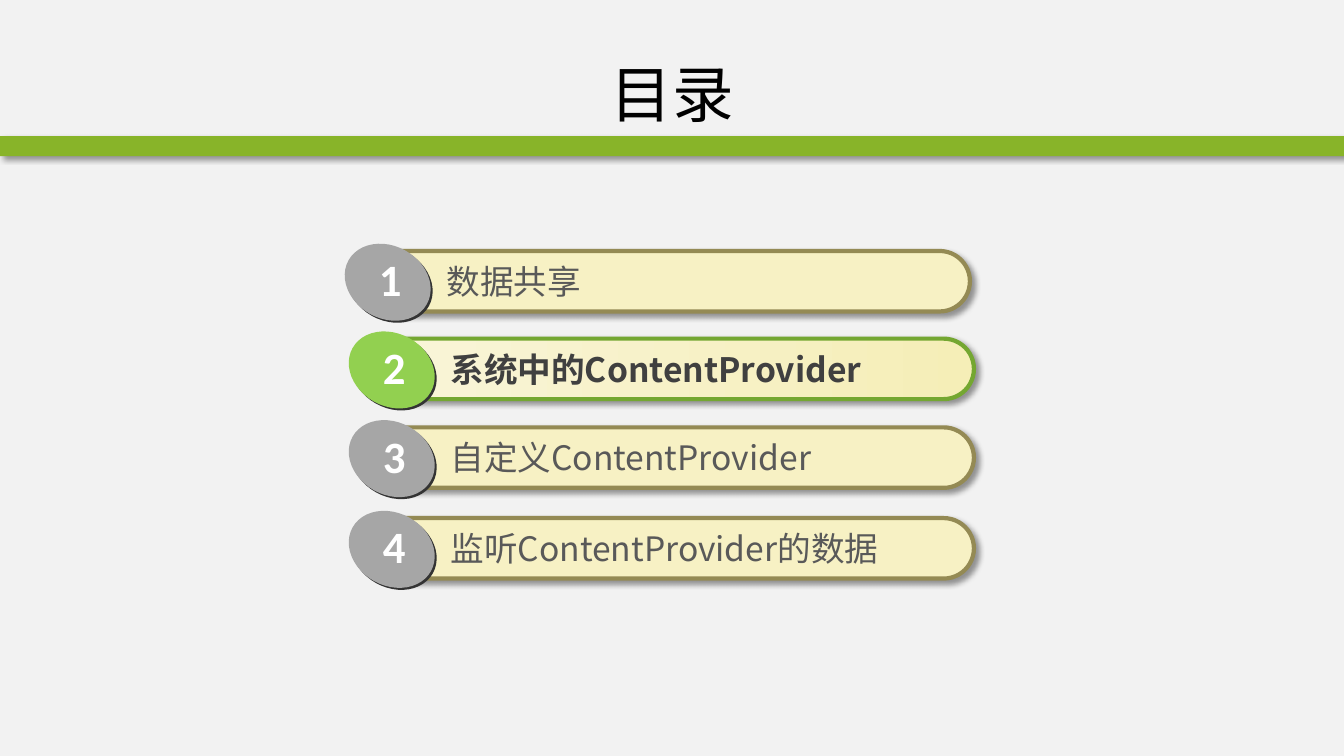
import pptx
import pptx.dml.color
import pptx.enum.shapes
import pptx.enum.text
import pptx.oxml
import pptx.oxml.ns
import pptx.util
from pptx.util import Inches

TITLE = "目录"
CJK_FONT = "Noto Sans CJK SC"
NUMBER_FONT = "Calibri"
CHAPTERS = [
    ("数据共享", 3.62, 2.49),
    ("系统中的ContentProvider", 3.66, 3.36),
    ("自定义ContentProvider", 3.66, 4.24),
    ("监听ContentProvider的数据", 3.66, 5.14),
]
CURRENT = 2
NORMAL_STYLE = {"fill": ["F7F1C4"], "line": "948A54", "disc": "A6A6A6", "text": "595959"}
CURRENT_STYLE = {"fill": ["F9F5D9", "F5EEB7"], "line": "74A731", "disc": "92D050", "text": "404040"}
SHAPES = pptx.enum.shapes.MSO_SHAPE


def color(value):
    return pptx.dml.color.RGBColor.from_string(value)


def add_solid(parent, kind, place, fills):
    shape = parent.add_shape(kind, *map(Inches, place))
    shape.shadow.inherit = False
    shape.line.fill.background()
    if len(fills) == 1:
        shape.fill.solid()
        shape.fill.fore_color.rgb = color(fills[0])
    else:
        shape.fill.gradient()
        shape.fill.gradient_angle = 0
        for stop, value in zip(shape.fill.gradient_stops, fills):
            stop.color.rgb = color(value)
    return shape


def cast_shadow(shape):
    effects = shape._element.spPr.find(pptx.oxml.ns.qn("a:effectLst"))
    effects.append(pptx.oxml.parse_xml(
        f'<a:outerShdw {pptx.oxml.ns.nsdecls("a")} blurRad="{pptx.util.Pt(4)}" '
        f'dist="{pptx.util.Pt(3)}" dir="2700000" algn="tl" rotWithShape="0">'
        '<a:srgbClr val="000000"><a:alpha val="40000"/></a:srgbClr></a:outerShdw>'))


def write(para, text, size, font, value, bold=False):
    span = para.add_run()
    span.text = text
    span.font.size = pptx.util.Pt(size)
    span.font.name = font
    span.font.bold = bold
    span.font.color.rgb = color(value)
    east_asian = pptx.oxml.parse_xml(
        f'<a:ea {pptx.oxml.ns.nsdecls("a")} typeface="{font}"/>')
    span.font._element.find(pptx.oxml.ns.qn("a:latin")).addnext(east_asian)


def add_label(parent, place, wrap, *style):
    box = parent.add_textbox(*map(Inches, place))
    box.text_frame.word_wrap = wrap
    box.text_frame.auto_size = pptx.enum.text.MSO_AUTO_SIZE.SHAPE_TO_FIT_TEXT
    write(box.text_frame.paragraphs[0], *style)


def add_chapter(page, number, text, left, top):
    current = number == CURRENT
    style = CURRENT_STYLE if current else NORMAL_STYLE
    group = page.shapes.add_group_shape().shapes
    bar = add_solid(group, SHAPES.ROUNDED_RECTANGLE, (left, top, 6, 0.6), style["fill"])
    bar.adjustments[0] = 0.5
    bar.line.color.rgb = color(style["line"])
    bar.line.width = pptx.util.Pt(3)
    cast_shadow(bar)
    add_label(group, (left + 0.71, top + 0.05, 5.09, 0.5), True,
              text, 24, CJK_FONT, style["text"], current)
    for shift, fill in ((0.02, "333333"), (0, style["disc"])):
        disc = add_solid(group, SHAPES.OVAL,
                         (left - 0.22 + shift, top - 0.05 + shift, 0.89, 0.72), [fill])
        disc.rotation = 29.3
    add_label(group, (left + 0.04, top - 0.04, 0.43, 0.64), False,
              str(number), 32, NUMBER_FONT, "FFFFFF", True)


def main():
    deck = pptx.Presentation()
    deck.slide_width, deck.slide_height = Inches(13.33), Inches(7.5)
    page = deck.slides.add_slide(deck.slide_layouts[5])
    page.background.fill.solid()
    page.background.fill.fore_color.rgb = color("F2F2F2")

    cast_shadow(add_solid(page.shapes, SHAPES.RECTANGLE, (0, 1.35, 13.33, 0.2), ["88B429"]))

    title = page.shapes.title
    title.left, title.top, title.width, title.height = map(Inches, (0.67, 0.3, 12, 1.25))
    title.text_frame.vertical_anchor = pptx.enum.text.MSO_ANCHOR.MIDDLE
    para = title.text_frame.paragraphs[0]
    para.alignment = pptx.enum.text.PP_ALIGN.CENTER
    write(para, TITLE, 44, CJK_FONT, "000000")

    for number, chapter in enumerate(CHAPTERS, 1):
        add_chapter(page, number, *chapter)
    deck.save("out.pptx")


if __name__ == "__main__":
    main()
